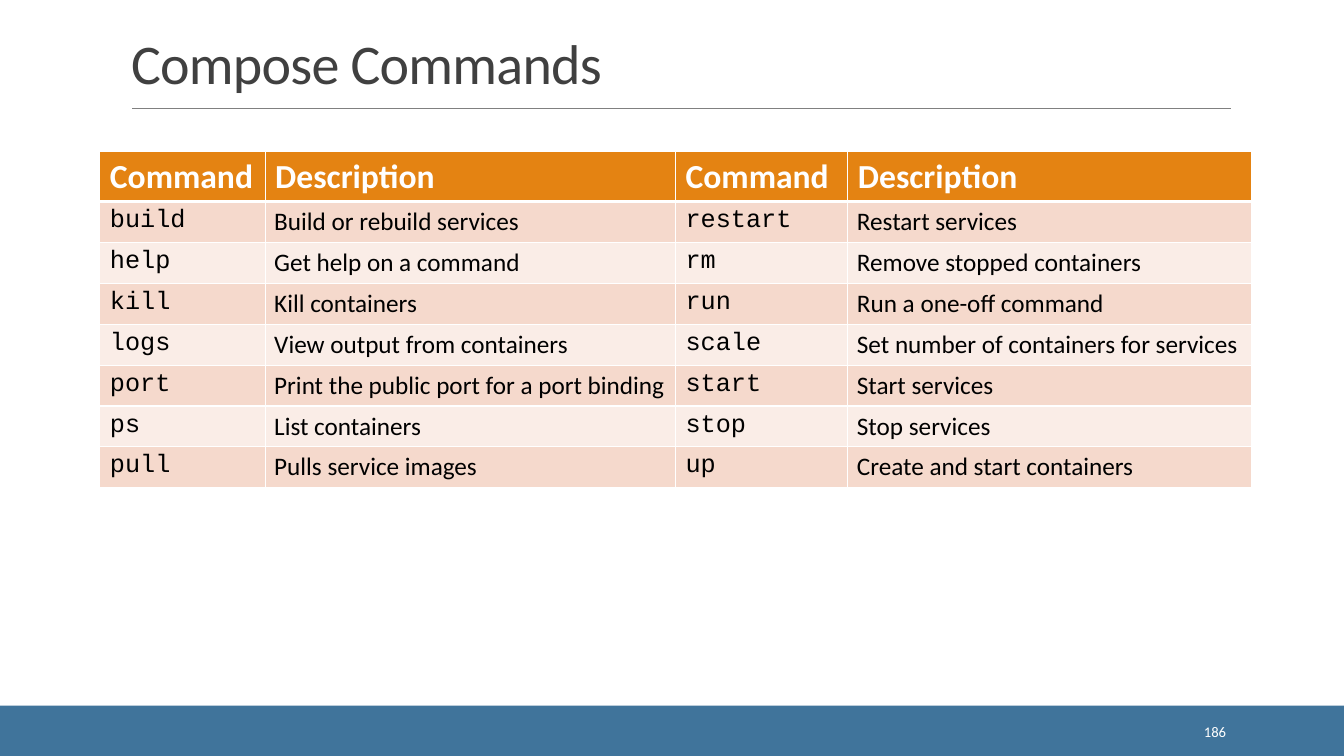
from lxml import etree
from pptx import Presentation, util as u
from pptx.dml.color import RGBColor
from pptx.enum import shapes, text
from pptx.oxml.ns import qn

W, H = 13.33, 7.5
COLUMN_WIDTHS = [1.64, 4.07, 1.71, 4]
HEADER_HEIGHT = 0.5
HEADINGS = ["Command", "Description"] * 2
COMMANDS = [
    ("build", "Build or rebuild services", "restart", "Restart services"),
    ("help", "Get help on a command", "rm", "Remove stopped containers"),
    ("kill", "Kill containers", "run", "Run a one-off command"),
    ("logs", "View output from containers", "scale", "Set number of containers for services"),
    ("port", "Print the public port for a port binding", "start", "Start services"),
    ("ps", "List containers", "stop", "Stop services"),
    ("pull", "Pulls service images", "up", "Create and start containers"),
]
HEADING = dict(name="Calibri", size=u.Pt(24), bold=True, color="FFFFFF")
CODE = dict(name="Courier New", size=u.Pt(18), bold=False, color="000000")
BODY = dict(CODE, name="Calibri")


def rgb(value):
    return RGBColor.from_string(value)


def inches(*lengths):
    return [u.Inches(v) for v in lengths]


def write(tf, content, style, align=text.PP_ALIGN.LEFT):
    p = tf.paragraphs[0]
    p.alignment = align
    r = p.add_run()
    r.text = content
    for key, value in style.items():
        if key == "color":
            r.font.color.rgb = rgb(value)
        else:
            setattr(r.font, key, value)
    return r


def border(cell, side, points):
    # Borders come before the fill in the cell properties
    ln = etree.SubElement(cell._tc.get_or_add_tcPr(), qn(f"a:ln{side}"),
                          w=str(u.Pt(points)))
    fill = etree.SubElement(ln, qn("a:solidFill"))
    etree.SubElement(fill, qn("a:srgbClr"), val="FFFFFF")


def add_title(slide, box, content):
    sp = slide.shapes.title
    sp.left, sp.top, sp.width, sp.height = inches(*box)
    tf = sp.text_frame
    tf.word_wrap = True
    tf.auto_size = text.MSO_AUTO_SIZE.NONE
    tf.vertical_anchor = text.MSO_ANCHOR.BOTTOM
    r = write(tf, content, dict(name="Calibri", size=u.Pt(40), color="404040"))
    r.font._element.set("spc", "-50")
    tf.paragraphs[0].line_spacing = 0.85

    # Rule under the title
    x, y, w, h = box
    rule = slide.shapes.add_connector(
        shapes.MSO_CONNECTOR.STRAIGHT,
        *inches(x + 0.11, y + h + 0.08, x + w + 0.01, y + h + 0.08))
    rule.line.color.rgb = rgb("808080")
    rule.line.width = u.Pt(0.5)
    etree.SubElement(rule._element.spPr, qn("a:effectLst"))


def add_footer(slide, box, number):
    x, y, w, h = box
    band = slide.shapes.add_shape(shapes.MSO_SHAPE.RECTANGLE, *inches(*box))
    band.shadow.inherit = False
    band.fill.solid()
    band.fill.fore_color.rgb = rgb("40749B")
    band.line.fill.background()

    # Slide number
    sp = slide.shapes.add_textbox(*inches(x + w - 2.5, y + 0.06, 1.43, 0.4))
    tf = sp.text_frame
    tf.word_wrap = True
    tf.vertical_anchor = text.MSO_ANCHOR.MIDDLE
    write(tf, number, dict(name="Calibri", size=u.Pt(10.5), color="FFFFFF"),
          text.PP_ALIGN.RIGHT)


def add_command_table(slide, box):
    rows = [HEADINGS, *COMMANDS]
    table = slide.shapes.add_table(len(rows), len(HEADINGS), *inches(*box)).table
    for column, width in zip(table.columns, COLUMN_WIDTHS):
        column.width = u.Inches(width)
    body_height = (box[3] - HEADER_HEIGHT) / len(COMMANDS)

    for i, row in enumerate(rows):
        table.rows[i].height = u.Inches(body_height if i else HEADER_HEIGHT)
        for j, content in enumerate(row):
            cell = table.cell(i, j)
            for side in "LRTB":
                at_header = (i, side) in ((0, "B"), (1, "T"))
                border(cell, side, 3 if at_header else 1)
            cell.fill.solid()
            if i == 0:
                color, style = "E48312", HEADING
            else:
                color = "F5D9CC" if i % 2 else "FAEDE7"
                style = BODY if j % 2 else CODE
            cell.fill.fore_color.rgb = rgb(color)
            if style is BODY:
                cell.vertical_anchor = text.MSO_ANCHOR.MIDDLE
                cell.margin_left = cell.margin_right = u.Inches(0.09)
                cell.margin_top = cell.margin_bottom = u.Inches(0.04)
            write(cell.text_frame, content, style)


def main():
    prs = Presentation()
    prs.slide_width, prs.slide_height = inches(W, H)
    slide = prs.slides.add_slide(prs.slide_layouts[5])
    add_footer(slide, (0, H - 0.5, W, 0.5), "186")
    add_title(slide, (1.2, 0.31, 11, 0.69), "Compose Commands")
    add_command_table(slide, (0.99, 1.5, sum(COLUMN_WIDTHS), 3.34))
    prs.save("out.pptx")


if __name__ == "__main__":
    main()
